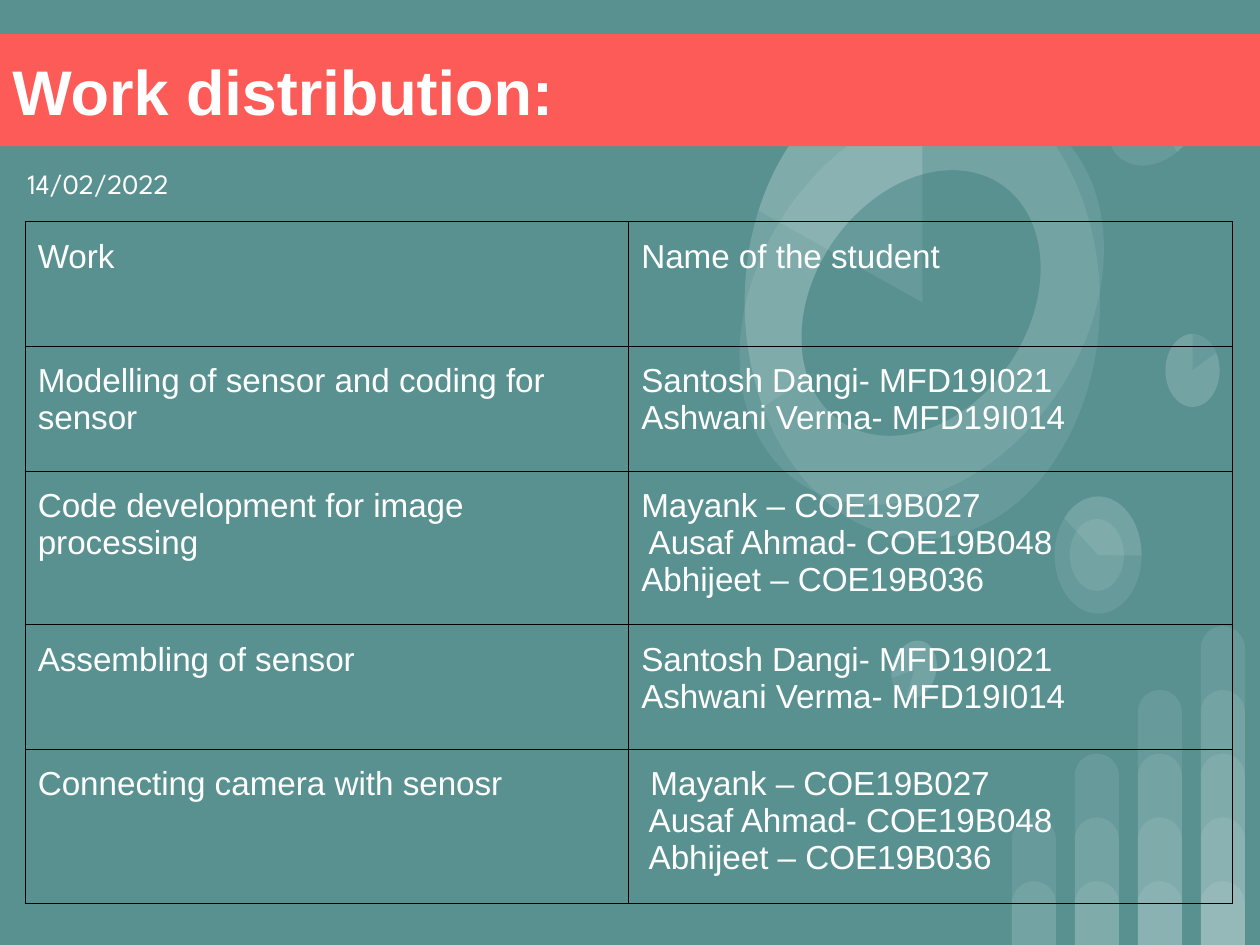
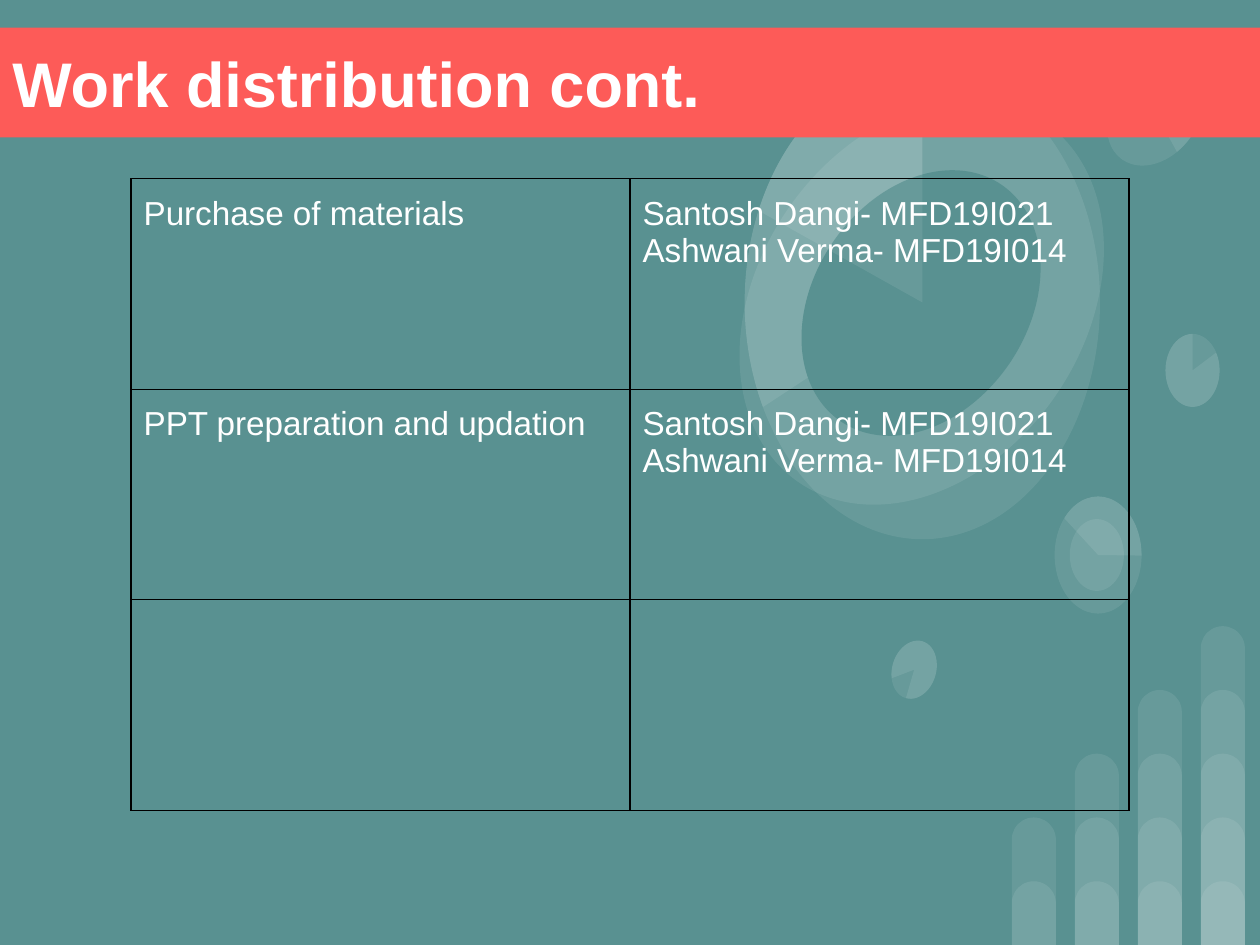
from lxml.etree import SubElement
from pptx import Presentation
from pptx.dml.color import RGBColor
from pptx.enum.shapes import MSO_SHAPE as Shape
from pptx.enum.text import MSO_ANCHOR as Anchor, PP_ALIGN as Align
from pptx.oxml.ns import qn
from pptx.util import Inches, Pt

TEAL, CORAL, WHITE, BLACK = "599191", "FD5B58", "FFFFFF", "000000"
BODY_FONT, DATE_FONT = "Arial", "League Spartan"

BAR_LEFT, BAR_GAP, BAR_WIDTH, BAR_STEP = 8.03, 0.5, 0.35, 0.506
SLIDE_HEIGHT = 7.5

SMALL_DISC = (9.25, 2.65, 0.43, 0.58)
LOW_DISC = (7.08, 5.08, 0.35, 0.47)
RING_DISC = (8.25, 4.06, 0.93, 0.69)
TOP_DISC = (8.83, 0.44, 0.68, 0.91)
BIG_DISC = (5.91, 0.52, 2.82, 3.76)

DISCS = [
    (SMALL_DISC, 0, None, None),
    (LOW_DISC, 196.2, None, None),
    (RING_DISC, 90, None, None),
    (RING_DISC, 90, (82.45, 162.46), None),
    ((8.42, 4.19, 0.57, 0.43), 90, None, None),
    (SMALL_DISC, 0, (193.77, 162), None),
    (TOP_DISC, 215.9, None, None),
    (TOP_DISC, 215.9, (193.77, 123.14), None),
    (BIG_DISC, 0, None, None),
    ((6.02, 0.67, 2.59, 3.46), 34.1, None, None),
    (BIG_DISC, 0, (88.01, 162), None),
    ((6.46, 1.27, 1.7, 2.27), 34.1, None, TEAL),
    (BIG_DISC, 0, (125.54, 162), None),
    (LOW_DISC, 196.2, (193.77, 162), None),
]

SENSOR_TEAM = ["Santosh Dangi- MFD19I021", "Ashwani Verma- MFD19I014"]
WORK = [
    (["Work"], ["Name of the student"]),
    (["Modelling of sensor and coding for sensor"], SENSOR_TEAM),
    (["Code development for image processing"],
     ["Mayank – COE19B027", " Ausaf Ahmad- COE19B048", "Abhijeet – COE19B036"]),
    (["Assembling of sensor"], SENSOR_TEAM),
    (["Connecting camera with senosr"],
     [" Mayank – COE19B027", " Ausaf Ahmad- COE19B048", " Abhijeet – COE19B036"]),
]
MORE_WORK = [
    (["Purchase of materials"], SENSOR_TEAM),
    (["PPT preparation and updation"], SENSOR_TEAM),
    ([], []),
]


def color(value):
    return RGBColor.from_string(value)


class Deck:
    def __init__(self):
        self.prs = Presentation()
        self.prs.slide_width = Inches(10)
        self.prs.slide_height = Inches(SLIDE_HEIGHT)
        self.slide = None

    def new_slide(self):
        self.slide = self.prs.slides.add_slide(self.prs.slide_layouts[6])
        backdrop = self.slide.background.fill
        backdrop.solid()
        backdrop.fore_color.rgb = color(TEAL)
        self.bars()
        self.discs()

    def shape(self, kind, box, fill=None, rotation=0, adjust=None):
        shape = self.slide.shapes.add_shape(kind, *map(Inches, box))
        shape.shadow.inherit = False
        shape.line.fill.background()
        shape.fill.solid()
        shape.fill.fore_color.rgb = color(fill or WHITE)
        if fill is None:
            tint = shape._element.spPr.find(".//" + qn("a:srgbClr"))
            SubElement(tint, qn("a:alpha"), val="9000")
        shape.rotation = rotation
        for index, value in enumerate(adjust or ()):
            shape.adjustments[index] = value
        return shape

    def bars(self):
        for column in range(4):
            for level in range(1, column + 3):
                height = BAR_STEP * level
                box = (BAR_LEFT + BAR_GAP * column, SLIDE_HEIGHT - height, BAR_WIDTH, height)
                self.shape(Shape.ROUND_2_SAME_RECTANGLE, box, adjust=(0.5, 0))

    def discs(self):
        for box, rotation, angles, fill in DISCS:
            kind = Shape.PIE if angles else Shape.OVAL
            self.shape(kind, box, fill, rotation, angles)

    def add_lines(self, frame, lines, size, font=BODY_FONT, bold=False):
        frame.word_wrap = True
        for index, line in enumerate(lines):
            paragraph = frame.add_paragraph() if index else frame.paragraphs[0]
            paragraph.alignment = Align.LEFT
            run = paragraph.add_run()
            run.text = line
            run.font.name, run.font.size, run.font.bold = font, Pt(size), bold
            run.font.color.rgb = color(WHITE)

    def inset(self, holder, side, top):
        holder.margin_left = holder.margin_right = Inches(side)
        holder.margin_top = holder.margin_bottom = Inches(top)

    def title(self, text, top, height):
        band = self.shape(Shape.RECTANGLE, (0, top, 10, height), CORAL)
        frame = band.text_frame
        frame.vertical_anchor = Anchor.MIDDLE
        self.inset(frame, 0.1, 0.1)
        self.add_lines(frame, [text], 36, bold=True)

    def date(self, text):
        box = map(Inches, (0.12, 1.22, 9.74, 0.5))
        frame = self.slide.shapes.add_textbox(*box).text_frame
        self.inset(frame, 0.1, 0.1)
        self.add_lines(frame, [text], 16, DATE_FONT)

    def borders(self, cell):
        properties = cell._tc.get_or_add_tcPr()
        for side in ("a:lnL", "a:lnR", "a:lnT", "a:lnB"):
            edge = SubElement(properties, qn(side), w=str(Pt(0.75)))
            SubElement(SubElement(edge, qn("a:solidFill")), qn("a:srgbClr"), val=BLACK)

    def table(self, rows, left, top, column_width, row_heights):
        box = map(Inches, (left, top, 2 * column_width, sum(row_heights)))
        table = self.slide.shapes.add_table(len(rows), 2, *box).table
        table.first_row = table.horz_banding = False
        for column in table.columns:
            column.width = Inches(column_width)
        for row, height, texts in zip(table.rows, row_heights, rows):
            row.height = Inches(height)
            for cell, lines in zip(row.cells, texts):
                self.borders(cell)
                cell.fill.background()
                self.inset(cell, 0.1, 0.13)
                self.add_lines(cell.text_frame, lines, 19)


def main():
    deck = Deck()

    deck.new_slide()
    deck.title("Work distribution:", 0.27, 0.89)
    deck.date("14/02/2022")
    deck.table(WORK, 0.2, 1.76, 4.79, [0.99, 0.99, 1.22, 0.99, 1.22])

    deck.new_slide()
    deck.title("Work distribution cont.", 0.22, 0.87)
    deck.table(MORE_WORK, 1.04, 1.42, 3.96, [1.67] * 3)

    deck.prs.save("out.pptx")


if __name__ == "__main__":
    main()
